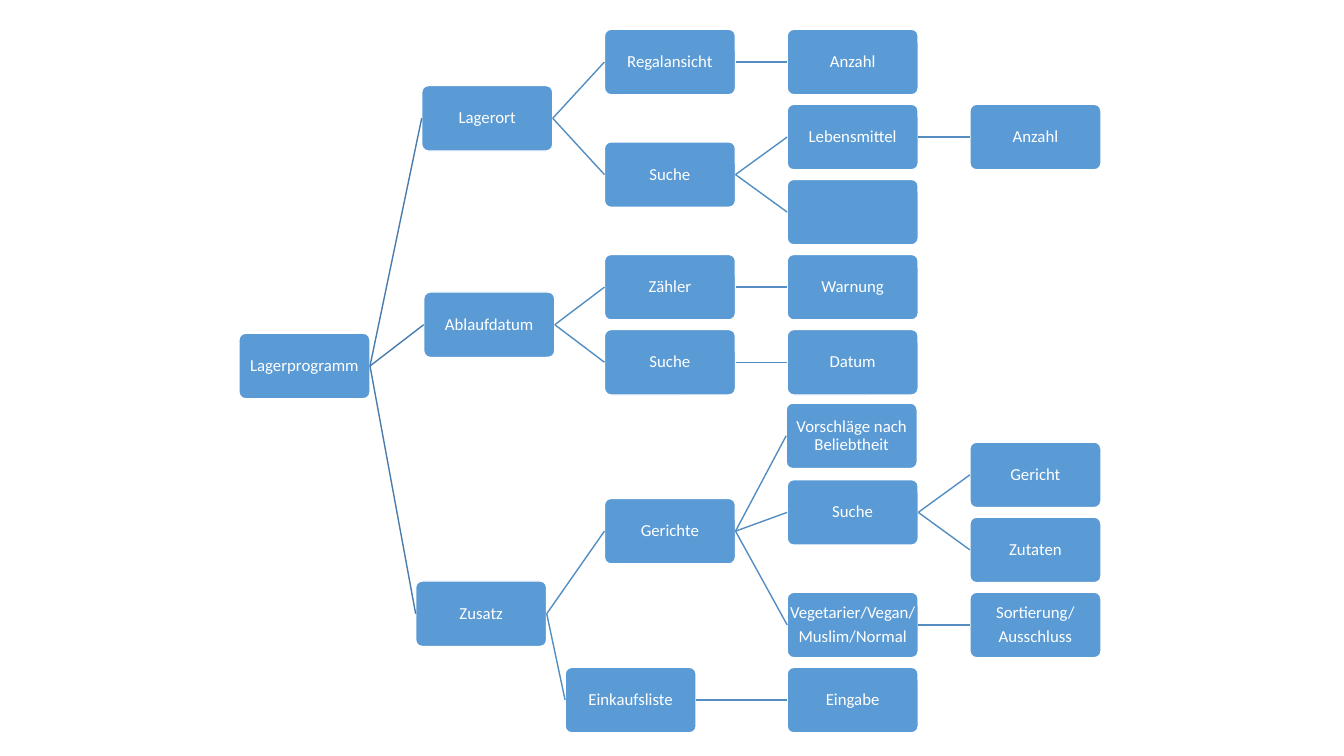
"""Builds the tree of the storage programme's functions, from left to right."""
from lxml import etree
from pptx import Presentation
from pptx.dml.color import RGBColor
from pptx.enum.shapes import MSO_CONNECTOR, MSO_SHAPE
from pptx.enum.text import MSO_ANCHOR, PP_ALIGN
from pptx.oxml.ns import qn
from pptx.util import Inches, Pt

ROUND = MSO_SHAPE.ROUNDED_RECTANGLE
STRAIGHT = MSO_CONNECTOR.STRAIGHT
MIDDLE = MSO_ANCHOR.MIDDLE
CENTER = PP_ALIGN.CENTER
LEFT_SITE, RIGHT_SITE = 1, 3

LEFT, TOP = 2.37, 0.29
COL, ROW = 7.25 / 4, 6.33 / 17
WIDE, HIGH = 1.3, 0.65
PAD = Inches(0.01)


def color(code):
    return RGBColor.from_string(code)


# column, row in half steps, shift to the right in inches, wording
NODES = [
    (0, 8.1, 0, "Lagerprogramm"),
    (1, 1.5, 0, "Lagerort"),
    (2, 0, 0, "Regalansicht"),
    (3, 0, 0, "Anzahl"),
    (2, 3, 0, "Suche"),
    (3, 2, 0, "Lebensmittel"),
    (4, 2, 0, "Anzahl"),
    (3, 4, 0, ""),
    (1, 7, 0.02, "Ablaufdatum"),
    (2, 6, 0, "Zähler"),
    (3, 6, 0, "Warnung"),
    (2, 8, 0, "Suche"),
    (3, 8, 0, "Datum"),
    (1, 14.7, -0.06, "Zusatz"),
    (2, 12.5, 0, "Gerichte"),
    (3, 9.96, -0.01, "Vorschläge nach Beliebtheit"),
    (3, 12, 0, "Suche"),
    (4, 11, 0, "Gericht"),
    (4, 13, 0, "Zutaten"),
    (3, 15, 0, "Vegetarier/Vegan/\nMuslim/Normal"),
    (4, 15, 0, "Sortierung/\nAusschluss"),
    (2, 17, -0.39, "Einkaufsliste"),
    (3, 17, 0, "Eingabe"),
]

deck = Presentation()
deck.slide_width, deck.slide_height = Inches(13.33), Inches(7.5)
slide = deck.slides.add_slide(deck.slide_layouts[6])
shapes = slide.shapes

last = {}
for col, row, shift, words in NODES:
    box = shapes.add_shape(
        ROUND, Inches(LEFT + col * COL + shift), Inches(TOP + row * ROW),
        Inches(WIDE), Inches(HIGH))
    box.adjustments[0] = 0.1
    box.shadow.inherit = False
    box.fill.solid()
    box.fill.fore_color.rgb = color("5B9BD5")
    box.line.color.rgb = color("FFFFFF")
    box.line.width = Pt(1)
    last[col] = box

    if words:
        frame = box.text_frame
        frame.text = words
        frame.word_wrap = True
        frame.vertical_anchor = MIDDLE
        frame.margin_left = frame.margin_right = PAD
        frame.margin_top = frame.margin_bottom = PAD
        for para in frame.paragraphs:
            para.alignment = CENTER
            para.line_spacing = 0.9
            para.space_after = Pt(4.2)
            for run in para.runs:
                run.font.name = "Calibri"
                run.font.size = Pt(12)
                run.font.color.rgb = color("FFFFFF")

    if col:
        link = shapes.add_connector(STRAIGHT, 0, 0, 0, 0)
        link.begin_connect(last[col - 1], RIGHT_SITE)
        link.end_connect(box, LEFT_SITE)
        link.line.color.rgb = color("497CAB" if col == 1 else "538DC1")
        link.line.width = Pt(1)
        etree.SubElement(link._element.spPr, qn("a:effectLst"))

deck.save("out.pptx")
